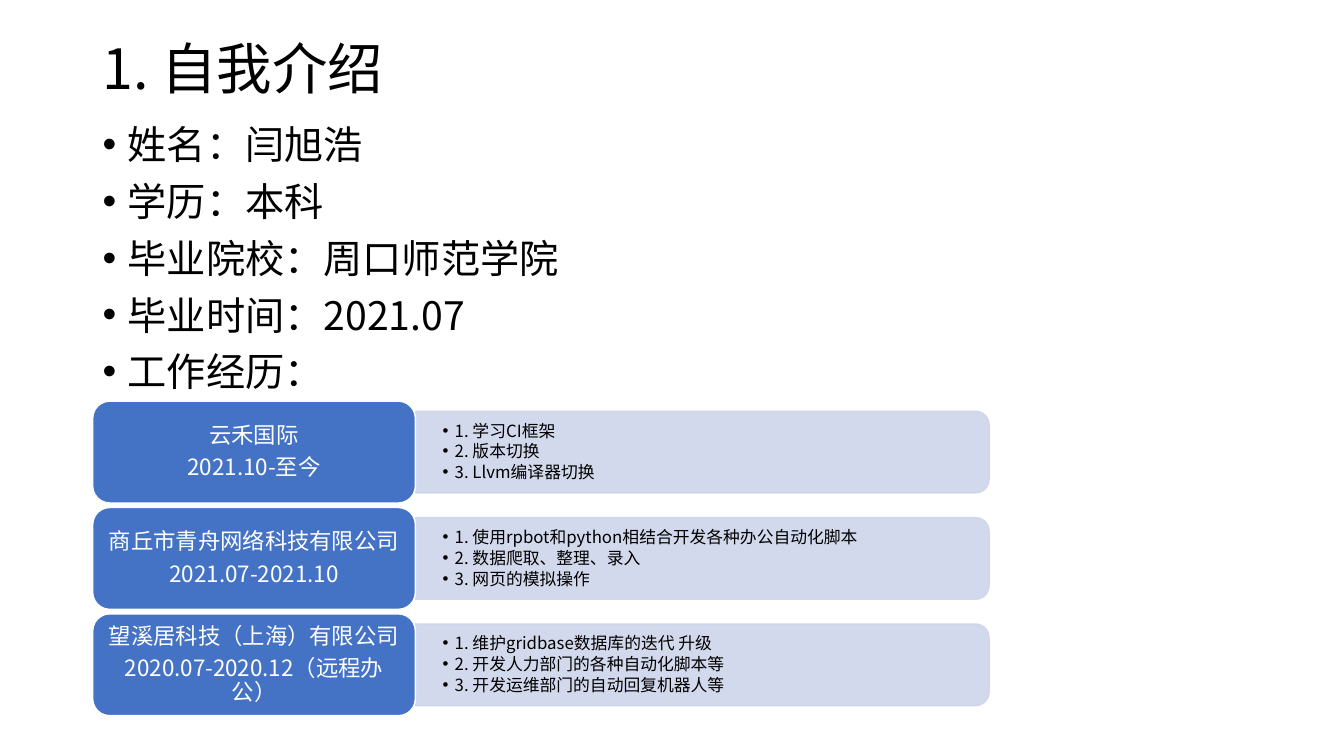
from lxml.etree import SubElement
from pptx import Presentation
from pptx.dml.color import RGBColor
from pptx.enum.shapes import MSO_SHAPE as Shape
from pptx.enum.text import MSO_ANCHOR as Anchor, PP_ALIGN as Align
from pptx.oxml.ns import qn
from pptx.util import Inches, Pt

FONT = "Noto Sans CJK SC"
BLACK, WHITE, BLUE, PALE = "000000", "FFFFFF", "4472C4", "CFD5EA"
LEADING = 1.09

PROFILE = [
    "姓名：闫旭浩",
    "学历：本科",
    "毕业院校：周口师范学院",
    "毕业时间：2021.07",
    "工作经历：",
]
JOBS = [
    (["云禾国际", "2021.10-至今"],
     ["1. 学习CI框架", "2. 版本切换", "3. Llvm编译器切换"]),
    (["商丘市青舟网络科技有限公司", "2021.07-2021.10"],
     ["1. 使用rpbot和python相结合开发各种办公自动化脚本",
      "2. 数据爬取、整理、录入", "3. 网页的模拟操作"]),
    (["望溪居科技（上海）有限公司", "2020.07-2020.12（远程办公）"],
     ["1. 维护gridbase数据库的迭代 升级",
      "2. 开发人力部门的各种自动化脚本等", "3. 开发运维部门的自动回复机器人等"]),
]

EMPLOYER_LEFT, EMPLOYER_WIDTH, EMPLOYER_HEIGHT = 0.92, 3.2, 1.01
DUTIES_LEFT, DUTIES_WIDTH, DUTIES_HEIGHT = 4.12, 5.69, 0.81
FIRST_TOP, LAST_BOTTOM = 3.98, 7.1


def rgb(value):
    """Turn a hex string into a colour."""
    return RGBColor.from_string(value)


def box(left, top, width, height):
    """Convert a rectangle in inches to lengths."""
    return [Inches(length) for length in (left, top, width, height)]


def add_bullet(paragraph, indent):
    """Give a paragraph a round bullet with a hanging indent."""
    properties = paragraph._p.get_or_add_pPr()
    properties.set("marL", str(Inches(indent)))
    properties.set("indent", str(-Inches(indent)))
    SubElement(properties, qn("a:buFont")).set("typeface", "Arial")
    SubElement(properties, qn("a:buChar")).set("char", "•")


def write(frame, lines, size, color=BLACK, align=Align.LEFT, anchor=Anchor.MIDDLE,
          before=0, after=0, indent=0, insets=(0.1, 0.05)):
    """Fill a text frame with formatted paragraphs."""
    frame.word_wrap = True
    frame.vertical_anchor = anchor
    frame.margin_left = frame.margin_right = Inches(insets[0])
    frame.margin_top = frame.margin_bottom = Inches(insets[1])
    for index, line in enumerate(lines):
        paragraph = frame.paragraphs[0] if index == 0 else frame.add_paragraph()
        paragraph.alignment = align
        paragraph.line_spacing = Pt(size * LEADING)
        paragraph.space_before, paragraph.space_after = Pt(before), Pt(after)
        if indent:
            add_bullet(paragraph, indent)
        run = paragraph.add_run()
        run.text = line
        run.font.size, run.font.name = Pt(size), FONT
        run.font.color.rgb = rgb(color)
        SubElement(run._r.get_or_add_rPr(), qn("a:ea")).set("typeface", FONT)


def add_block(slide, preset, place, fill, line):
    """Draw a filled preset shape with a thin outline."""
    block = slide.shapes.add_shape(preset, *box(*place))
    block.shadow.inherit = False
    block.fill.solid()
    block.fill.fore_color.rgb = rgb(fill)
    block.line.color.rgb = rgb(line)
    block.line.width = Pt(1)
    return block


def add_duties(slide, middle, duties):
    """Draw the pale panel, rounded on its right side, and its list."""
    center = DUTIES_LEFT + DUTIES_WIDTH / 2
    panel = add_block(slide, Shape.ROUND_2_SAME_RECTANGLE,
                      (center - DUTIES_HEIGHT / 2, middle - DUTIES_WIDTH / 2,
                       DUTIES_HEIGHT, DUTIES_WIDTH), PALE, PALE)
    panel.rotation = 90
    for color in panel._element.spPr.iter(qn("a:srgbClr")):
        SubElement(color, qn("a:alpha")).set("val", "90000")
    listing = slide.shapes.add_textbox(*box(DUTIES_LEFT, middle - 0.365, 5.65, 0.73))
    write(listing.text_frame, duties, 12, after=1.8, indent=0.12, insets=(0.27, 0.14))


def add_employer(slide, top, employer):
    """Draw the blue card with the employer and the period."""
    card = add_block(slide, Shape.ROUNDED_RECTANGLE,
                     (EMPLOYER_LEFT, top, EMPLOYER_WIDTH, EMPLOYER_HEIGHT), BLUE, WHITE)
    write(card.text_frame, employer, 16, color=WHITE, align=Align.CENTER,
          after=5.6, insets=(0.07, 0.03))


def main():
    """Build the self-introduction slide."""
    deck = Presentation()
    deck.slide_width, deck.slide_height = Inches(13.33), Inches(7.5)
    slide = deck.slides.add_slide(deck.slide_layouts[5])

    heading = slide.shapes.title
    heading.left, heading.top, heading.width, heading.height = box(0.92, 0.4, 11.5, 0.59)
    write(heading.text_frame, ["1. 自我介绍"], 39.6)

    profile = slide.shapes.add_textbox(*box(0.92, 1.19, 11.5, 5.91))
    write(profile.text_frame, PROFILE, 28, anchor=Anchor.TOP, before=10, indent=0.25)

    pitch = (LAST_BOTTOM - FIRST_TOP - EMPLOYER_HEIGHT) / (len(JOBS) - 1)
    for row, (employer, duties) in enumerate(JOBS):
        top = FIRST_TOP + row * pitch
        add_duties(slide, top + EMPLOYER_HEIGHT / 2, duties)
        add_employer(slide, top, employer)

    deck.save("out.pptx")


main()
